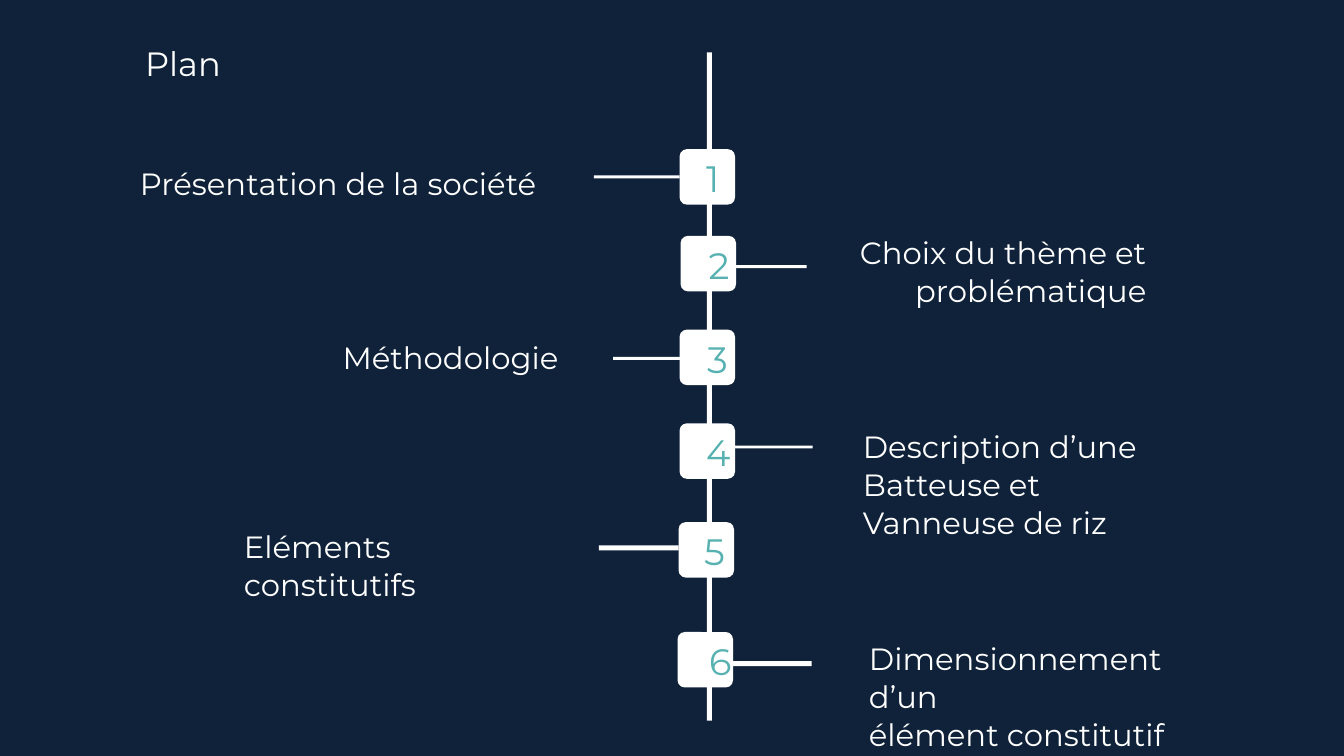
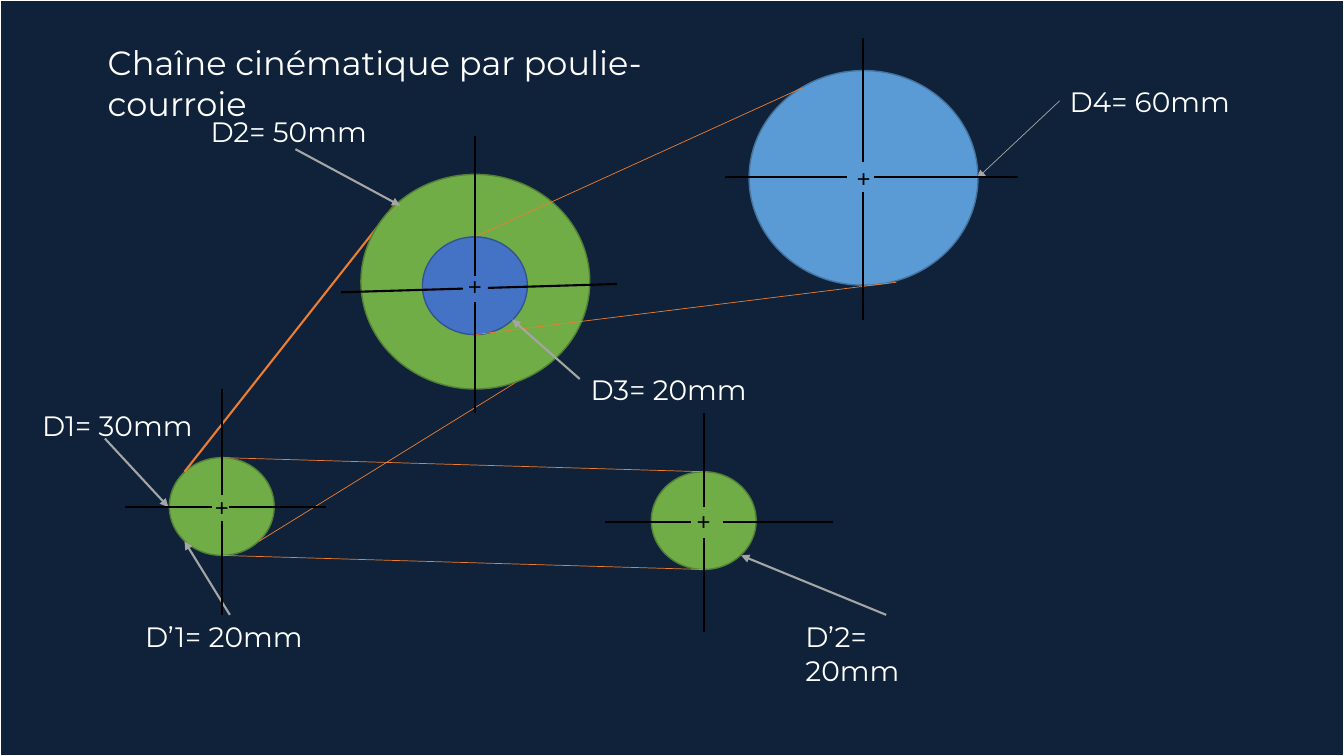
from dataclasses import dataclass
from typing import NamedTuple

from lxml import etree
from pptx import Presentation
from pptx import util as u
from pptx.dml.color import RGBColor
from pptx.enum import shapes, text
from pptx.oxml import ns
from pptx.slide import Slide

# Slide size and its grid of 133.3 columns by 75 rows
WIDE, HIGH = u.Inches(13.33), u.Inches(7.5)
COLS, ROWS = 133.3, 75

# Shared look
NAVY, WHITE, TEAL, BLACK = "0F223A", "FFFFFF", "57B1B1", "000000"
GREEN, MOSS, BLUE, DEEP = "70AD47", "538035", "4472C4", "325491"
SKY, STEEL, ORANGE, GREY = "5B9BD5", "43739E", "ED7D31", "A5A5A5"
FACE = "Montserrat"
LEFT, MID, RIGHT = text.PP_ALIGN.LEFT, text.PP_ALIGN.CENTER, text.PP_ALIGN.RIGHT
KIND = shapes.MSO_SHAPE


class Box(NamedTuple):
    x: float
    y: float
    w: float
    h: float


class Span(NamedTuple):
    x1: float
    y1: float
    x2: float
    y2: float
    thick: float = 0.5


@dataclass
class Step:
    tile: tuple[float, float]
    mid: float
    stub: Box
    area: Box
    lines: list[str]
    align: text.PP_ALIGN = LEFT


@dataclass
class Disc:
    x: float
    y: float
    w: float
    h: float
    fill: str
    edge: str
    mark: str = "+"


class Cross(NamedTuple):
    """Axis marks: each arm runs from its near to its far end."""
    x: float
    y: float
    left: tuple[float, float]
    right: tuple[float, float]
    up: tuple[float, float]
    down: tuple[float, float]
    tilt: float = 0


class Label(NamedTuple):
    words: str
    x: float
    y: float
    w: float
    arrow: Span


def col(n: float) -> int:
    return round(WIDE * n / COLS)


def row(n: float) -> int:
    return round(HIGH * n / ROWS)


def place(box: Box) -> tuple[int, int, int, int]:
    return col(box.x), row(box.y), col(box.w), row(box.h)


def ink(code: str) -> RGBColor:
    return RGBColor.from_string(code)


def form(page: Slide, kind: KIND, box: Box, fill: str, edge: str = ""):
    item = page.shapes.add_shape(kind, *place(box))
    item.shadow.inherit = False
    item.fill.solid()
    item.fill.fore_color.rgb = ink(fill)
    if edge:
        item.line.color.rgb = ink(edge)
        item.line.width = u.Pt(1)
    else:
        item.line.fill.background()
    return item


def write(frame, lines: list[str], size: float, tint: str = WHITE,
          align: text.PP_ALIGN = LEFT, lead: float = 0, face: str = FACE) -> None:
    for i, words in enumerate(lines):
        para = frame.add_paragraph() if i else frame.paragraphs[0]
        para.text = words
        para.alignment = align
        para.font.name, para.font.size = face, u.Pt(size)
        para.font.color.rgb = ink(tint)
        if lead:
            para.line_spacing = u.Pt(lead)


def fixed(page: Slide, box: Box, lines: list[str], size: float, lead: float,
          tint: str = WHITE, align: text.PP_ALIGN = LEFT) -> None:
    frame = page.shapes.add_textbox(*place(box)).text_frame
    frame.word_wrap = False
    write(frame, lines, size, tint, align, lead)


def flow(page: Slide, box: Box, words: str, size: float) -> None:
    frame = page.shapes.add_textbox(*place(box)).text_frame
    frame.word_wrap = True
    frame.auto_size = text.MSO_AUTO_SIZE.SHAPE_TO_FIT_TEXT
    write(frame, [words], size)


def title(page: Slide, x: float, y: float, w: float, words: str) -> None:
    flow(page, Box(x, y, w, 5), words, 24)


def line(page: Slide, span: Span, tint: str, tip: bool = False) -> None:
    item = page.shapes.add_connector(
        shapes.MSO_CONNECTOR.STRAIGHT, col(span.x1), row(span.y1),
        col(span.x2), row(span.y2))
    item.line.color.rgb = ink(tint)
    item.line.width = u.Pt(span.thick)
    props = item.element.spPr
    if tip:
        etree.SubElement(props.find(ns.qn("a:ln")), ns.qn("a:tailEnd"), type="triangle")
    etree.SubElement(props, ns.qn("a:effectLst"))


def start(deck: Presentation, edge: str = "") -> Slide:
    page = deck.slides.add_slide(deck.slide_layouts[6])
    form(page, KIND.RECTANGLE, Box(0, 0, COLS, ROWS), NAVY, edge)
    return page


STEPS = [
    Step((67.4, 14.8), 70.15, Box(58.9, 17.4, 8.5, 0.3), Box(12.9, 15.7, 41.6, 4.6),
         ["Présentation de la société"]),
    Step((67.5, 23.4), 70.4, Box(71.5, 26.3, 8.5, 0.3), Box(77.6, 22.6, 37.1, 7.7),
         ["Choix du thème et", "problématique"], RIGHT),
    Step((67.4, 32.7), 70.25, Box(60.8, 35.4, 8.5, 0.3), Box(26.8, 33, 29.6, 4.8),
         ["Méthodologie"], RIGHT),
    Step((67.4, 42), 70.15, Box(72.1, 44.2, 8.5, 0.3), Box(84.6, 41.8, 35.2, 8.5),
         ["Description d’une Batteuse et", "Vanneuse de riz"]),
    Step((67.3, 51.8), 69.95, Box(59.4, 54.1, 7.9, 0.5), Box(23.2, 51.7, 30.4, 9.3),
         ["Eléments constitutifs"]),
    Step((67.2, 62.7), 70.45, Box(72.6, 65.6, 7.9, 0.5), Box(85.2, 62.8, 37.3, 8.5),
         ["Dimensionnement d’un", "élément constitutif"]),
]

# Pulleys are given by centre and size
SMALL, LARGE = (10.4, 9.7), (22.7, 21.3)
DRIVE = Disc(22, 50.25, *SMALL, GREEN, MOSS)
DISCS = [
    Disc(47.15, 27.95, *LARGE, GREEN, MOSS, ""),
    Disc(47.1, 28.35, *SMALL, BLUE, DEEP),
    Disc(85.65, 17.65, *LARGE, SKY, STEEL),
    Disc(69.8, 51.65, *SMALL, GREEN, MOSS),
]
UNDER = [Span(18.3, 46.8, 39.1, 20.4, 1.5), Span(25.7, 53.7, 55.1, 35.5)]
OVER = [
    Span(47.1, 23.5, 79.6, 8.7), Span(47.1, 33.2, 88.9, 28),
    Span(22, 45.4, 69.8, 46.8), Span(22, 55.1, 69.8, 56.5),
]
LABELS = [
    Label("D’1= 20mm", 13.4, 61, 18.9, Span(22.8, 61, 18.3, 53.7, 1.5)),
    Label("D’2= 20mm", 78.9, 61, 18, Span(87.9, 61, 73.5, 55.1, 1.5)),
    Label("D1= 30mm", 3.2, 40, 19.3, Span(10.4, 43.5, 16.7, 50.3, 1.5)),
    Label("D2= 50mm", 19.9, 10.9, 18, Span(29.3, 14.8, 39.7, 20.4, 1.5)),
    Label("D3= 20mm", 57.6, 36.5, 20.3, Span(57.5, 37.6, 50.8, 31.7, 1.5)),
    Label("D4= 60mm", 105.1, 7.9, 19.1, Span(105.1, 10, 96.9, 17.7)),
]
CROSSES = [
    Cross(47.1, 28.6, (45.9, 33.8), (48.4, 61.2), (27.4, 13.5), (30, 41), 0.03),
    Cross(85.6, 17.6, (84, 71.9), (86.7, 101), (16.1, 3.8), (19, 31.7)),
    Cross(22, 50.3, (21, 12.4), (22.7, 32.3), (49.1, 38.6), (51.7, 61)),
    Cross(69.8, 51.75, (68.5, 60), (71.7, 82.6), (50.3, 41), (53.4, 62.7)),
]


def plan(deck: Presentation) -> None:
    page = start(deck)
    form(page, KIND.RECTANGLE, Box(70.1, 5.2, 0.5, 66.3), WHITE)
    title(page, 13.4, 3.8, 30.8, "Plan")
    for n, step in enumerate(STEPS, 1):
        form(page, KIND.RECTANGLE, step.stub, WHITE)
        tile = form(page, KIND.ROUNDED_RECTANGLE, Box(*step.tile, 5.5, 5.5), WHITE)
        tile.adjustments[0] = 0.13
        fixed(page, Box(step.mid - 1.1, step.tile[1], 2.2, 4.6), [str(n)],
              26.2, 32.8, TEAL, MID)
        fixed(page, step.area, step.lines, 21.9, 27.3, align=step.align)


def wheel(page: Slide, disc: Disc) -> None:
    box = Box(disc.x - disc.w / 2, disc.y - disc.h / 2, disc.w, disc.h)
    item = form(page, KIND.FLOWCHART_CONNECTOR, box, disc.fill, disc.edge)
    if disc.mark:
        item.text_frame.vertical_anchor = text.MSO_ANCHOR.MIDDLE
        write(item.text_frame, [disc.mark], 18, BLACK, MID, face="Calibri")


def axes(page: Slide, cross: Cross) -> None:
    for near, far in (cross.left, cross.right):
        ends = [cross.y - cross.tilt * (x - cross.x) for x in (near, far)]
        line(page, Span(near, ends[0], far, ends[1], 1.5), BLACK)
    for near, far in (cross.up, cross.down):
        line(page, Span(cross.x, near, cross.x, far, 1.5), BLACK)


def chain(deck: Presentation) -> None:
    page = start(deck, WHITE)
    # Pulleys and belts
    wheel(page, DRIVE)
    for belt in UNDER:
        line(page, belt, ORANGE)
    for disc in DISCS:
        wheel(page, disc)
    for belt in OVER:
        line(page, belt, ORANGE)
    # Title, diameters and axes
    title(page, 9.7, 3.7, 68.2, "Chaîne cinématique par poulie-courroie")
    for label in LABELS:
        flow(page, Box(label.x, label.y, label.w, 4.4), label.words, 20)
        line(page, label.arrow, GREY, tip=True)
    for cross in CROSSES:
        axes(page, cross)


def main() -> None:
    deck = Presentation()
    deck.slide_width, deck.slide_height = WIDE, HIGH
    plan(deck)
    chain(deck)
    deck.save("out.pptx")


if __name__ == "__main__":
    main()
